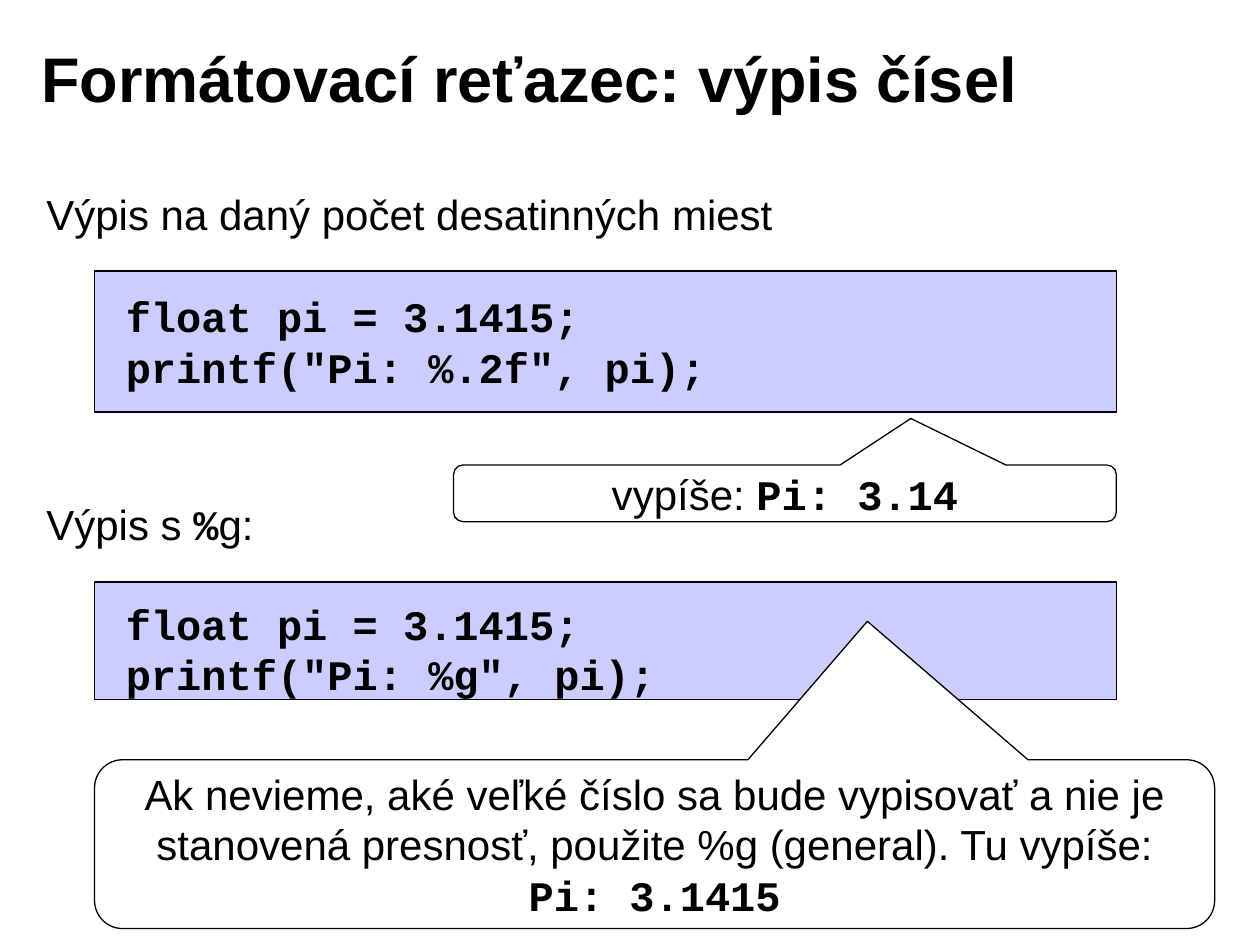
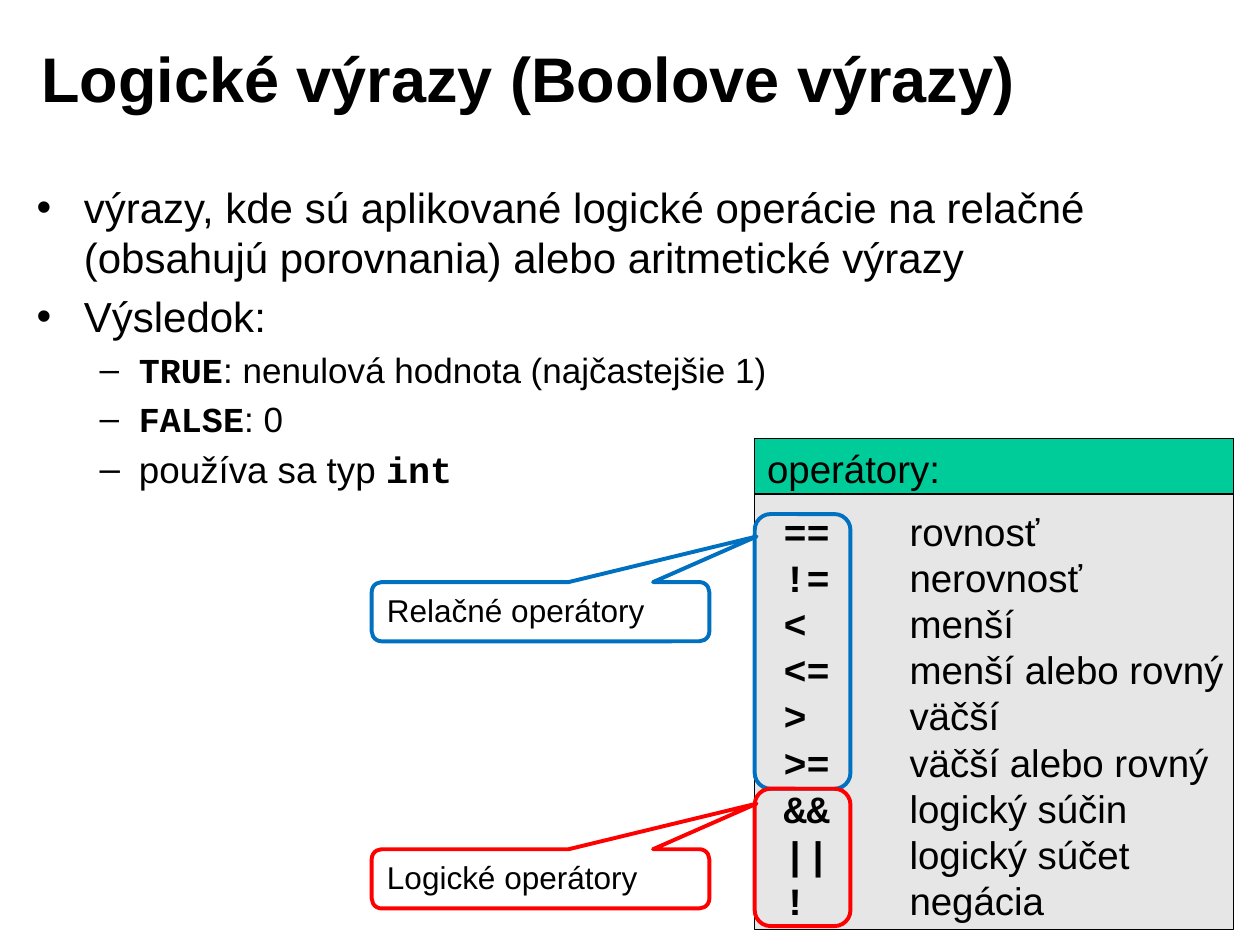
from lxml import etree
from pptx import Presentation
from pptx import util as u
from pptx.dml.color import RGBColor
from pptx.enum import shapes, text
from pptx.oxml import ns

BLACK = RGBColor(0x00, 0x00, 0x00)
WHITE = RGBColor(0xFF, 0xFF, 0xFF)
CODE_FILL = RGBColor(0xCC, 0xCC, 0xFF)
HEADER_FILL = RGBColor(0x00, 0xCC, 0x99)
LIST_FILL = RGBColor(0xE6, 0xE6, 0xE6)
BLUE = RGBColor(0x00, 0x70, 0xC0)
RED = RGBColor(0xFF, 0x00, 0x00)

RECT = shapes.MSO_SHAPE.RECTANGLE
ROUND = shapes.MSO_SHAPE.ROUNDED_RECTANGLE
CALLOUT = shapes.MSO_SHAPE.ROUNDED_RECTANGULAR_CALLOUT
TOP, MIDDLE = text.MSO_ANCHOR.TOP, text.MSO_ANCHOR.MIDDLE
LEFT, CENTER = text.PP_ALIGN.LEFT, text.PP_ALIGN.CENTER

PROSE = {"name": "Arial", "bold": False}
CODE = {"name": "Courier New", "bold": True}
TITLE = {"name": "Arial", "bold": True}

# Boxes are (left, top, width, height) on a grid of 100 columns by 75 rows.
COLUMNS, ROWS = 100, 75
TITLE_BOX = (2.3, 1.5, 80.3, 9.3)
BODY_BOX = (1.9, 13.9, 96.1, 36.8)

RELATIONAL = [("==", "rovnosť"), ("!=", "nerovnosť"), ("<", "menší"),
              ("<=", "menší alebo rovný"), (">", "väčší"),
              (">=", "väčší alebo rovný")]
LOGICAL = [("&&", "logický súčin"), ("||", "logický súčet"), ("!", "negácia")]


def set_all(target, formats):
    for name, value in formats.items():
        setattr(target, name, value)


class Deck:
    def __init__(self):
        self.prs = Presentation()
        self.prs.slide_width, self.prs.slide_height = u.Inches(10), u.Inches(7.5)
        self.s = None

    def place(self, box):
        col = self.prs.slide_width / COLUMNS
        row = self.prs.slide_height / ROWS
        return [round(n * unit) for n, unit in zip(box, (col, row, col, row))]

    def paragraph(self, p, words, size, prose=PROSE, **formats):
        """Fill a paragraph; words between backticks are set as code."""
        set_all(p, formats)
        for i, part in enumerate(words.split("`")):
            if part:
                r = p.add_run()
                r.text = part
                set_all(r.font, {"size": u.Pt(size), **(CODE if i % 2 else prose)})
                r.font.color.rgb = BLACK

    def paragraphs(self, tf, items):
        """Fill a text frame from (words, size, paragraph formats) items."""
        for i, (words, size, formats) in enumerate(items):
            p = tf.add_paragraph() if i else tf.paragraphs[0]
            self.paragraph(p, words, size, **formats)

    def put(self, sp, box):
        set_all(sp, dict(zip(("left", "top", "width", "height"), self.place(box))))
        sp.text_frame.auto_size = text.MSO_AUTO_SIZE.NONE
        return sp.text_frame

    def slide(self, title, layout=5):
        self.s = self.prs.slides.add_slide(self.prs.slide_layouts[layout])
        tf = self.put(self.s.shapes.title, TITLE_BOX)
        tf.vertical_anchor = MIDDLE
        self.paragraph(tf.paragraphs[0], title, 36, TITLE, alignment=LEFT)

    def body(self, items):
        tf = self.put(self.s.placeholders[1], BODY_BOX)
        self.paragraphs(tf, [(words, size, {"level": level})
                             for level, size, words in items])

    def shape(self, kind, box, fill=None, line=BLACK, weight=0.75, parent=None):
        sp = (parent or self.s).shapes.add_shape(kind, *self.place(box))
        sp.shadow.inherit = False
        if fill is None:
            sp.fill.background()
        else:
            sp.fill.solid()
            sp.fill.fore_color.rgb = fill
        sp.line.color.rgb = line
        sp.line.width = u.Pt(weight)
        return sp

    def callout(self, box, words, tip, size=24, anchor=MIDDLE, align=CENTER, **look):
        """Speech box whose tip lies at shares of its size from its centre."""
        sp = self.shape(CALLOUT, box, **look)
        for i, share in enumerate(tip):
            sp.adjustments[i] = share
        tf = sp.text_frame
        set_all(tf, {"vertical_anchor": anchor, "word_wrap": True})
        self.paragraph(tf.paragraphs[0], words, size, alignment=align)

    def textbox(self, box, lines, size=24, wrap=False, parent=None):
        tf = (parent or self.s).shapes.add_textbox(*self.place(box)).text_frame
        set_all(tf, {"word_wrap": wrap,
                     "auto_size": text.MSO_AUTO_SIZE.SHAPE_TO_FIT_TEXT})
        self.paragraphs(tf, [(line, size, {}) for line in lines])
        return tf

    def code(self, top, height, text_top, lines):
        group = self.s.shapes.add_group_shape()
        self.shape(RECT, (7.5, top, 81.1, height), CODE_FILL, parent=group)
        self.textbox((9, text_top, 77.4, 9.1), [f"`{line}`" for line in lines],
                     wrap=True, parent=group)

    def operators(self, box, rows):
        tf = self.textbox(box, [f"`{sign}`\t{name}" for sign, name in rows], 22)
        for p in tf.paragraphs:
            tabs = etree.SubElement(p._p.get_or_add_pPr(), ns.qn("a:tabLst"))
            etree.SubElement(tabs, ns.qn("a:tab"), pos=str(u.Inches(1)), algn="l")


def number_output(deck):
    deck.slide("Formátovací reťazec: výpis čísel")
    tip = (0.19, -1.32)
    deck.code(21.5, 11.2, 22.6, ["float pi = 3.1415;", 'printf("Pi: %.2f", pi);'])
    deck.callout((36, 36.9, 52.6, 4.5), "vypíše: `Pi: 3.14`", tip, fill=WHITE)
    deck.textbox((2.7, 14.5, 60.2, 5), ["Výpis na daný počet desatinných miest"])
    deck.code(46.2, 9.3, 47, ["float pi = 3.1415;", 'printf("Pi: %g", pi);'])
    deck.callout((7.5, 60.3, 88.9, 13.4),
                 "Ak nevieme, aké veľké číslo sa bude vypisovať a nie je stanovená "
                 "presnosť, použite %g (general). Tu vypíše: `Pi: 3.1415`",
                 tip, fill=WHITE)
    deck.textbox((2.7, 39.1, 18.6, 5.1), ["Výpis s `%`g:"])


def logical_expressions(deck):
    deck.slide("Logické výrazy (Boolove výrazy)", layout=1)
    deck.body([
        (0, 24, "výrazy, kde sú aplikované logické operácie na relačné "
                "(obsahujú porovnania) alebo aritmetické výrazy"),
        (0, 24, "Výsledok:"),
        (1, 20, "`TRUE`: nenulová hodnota (najčastejšie 1)"),
        (1, 20, "`FALSE`: 0"),
        (1, 21, "používa sa typ `int`"),
    ])
    left, width = 59.9, 38
    header = deck.shape(RECT, (left, 34.8, width, 4.4), HEADER_FILL)
    header.text_frame.vertical_anchor = TOP
    deck.paragraph(header.text_frame.paragraphs[0], "operátory:", 22,
                   alignment=LEFT, space_before=u.Pt(4.4))
    deck.shape(RECT, (left, 39.2, width, 34.6), LIST_FILL)
    deck.operators((61.2, 39.8, 37.2, 34.2), RELATIONAL + LOGICAL)
    for top, height, label_top, label, color in (
            (40.8, 21.8, 46.2, "Relačné operátory", BLUE),
            (62.6, 10.9, 67.4, "Logické operátory", RED)):
        look = {"line": color, "weight": 2.25}
        deck.shape(ROUND, (left, top, 7.6, height), **look)
        deck.callout((29.5, label_top, 26.8, 4.7), label, (0.64, -1.27),
                     size=18, anchor=TOP, align=LEFT, **look)


def main():
    deck = Deck()
    number_output(deck)
    logical_expressions(deck)
    deck.prs.save("out.pptx")


if __name__ == "__main__":
    main()
